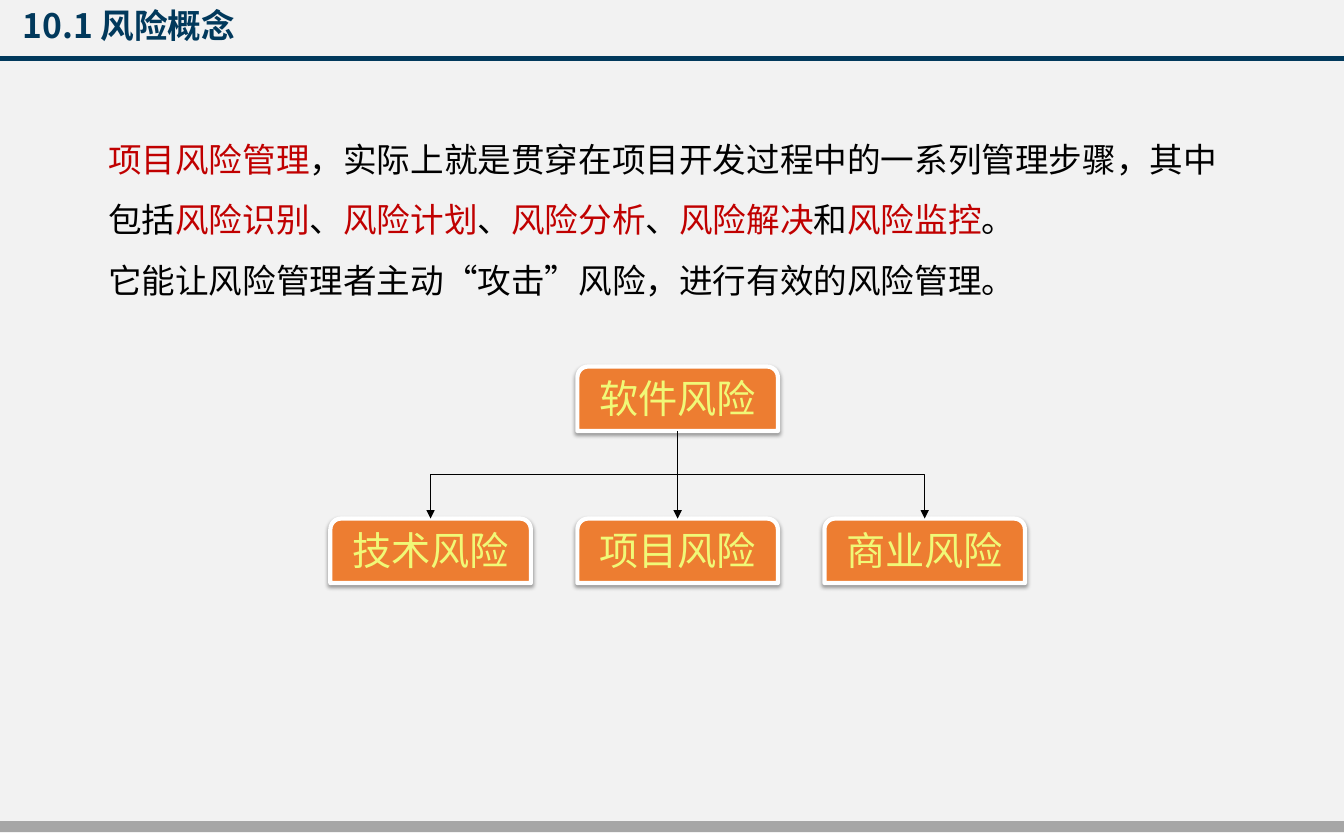
from dataclasses import dataclass

from lxml import etree
from pptx import Presentation
from pptx import util as u
from pptx.dml.color import RGBColor
from pptx.enum import shapes, text
from pptx.oxml.ns import qn


@dataclass(frozen=True)
class Theme:
    paper: str = "F2F2F2"
    navy: str = "01395C"
    grey: str = "A6A6A6"
    orange: str = "ED7D31"
    white: str = "FFFFFF"
    yellow: str = "F0F977"
    red: str = "C00000"
    black: str = "000000"
    heading_font: str = "Noto Sans CJK SC"
    body_font: str = "Arial Narrow"
    text_size: float = 24
    box_size: float = 28


def add_span(para, words, font, size, color, bold=None, asian_font=None):
    span = para.add_run()
    span.text = words
    span.font.name = font
    span.font.size = u.Pt(size)
    span.font.bold = bold
    span.font.color.rgb = RGBColor.from_string(color)
    properties = span.font._element
    properties.set("lang", "zh-CN")
    latin = properties.find(qn("a:latin"))
    latin.addnext(etree.Element(qn("a:ea"), typeface=asian_font or font))


class SlideBuilder:
    """Places elements by percentages of the slide's width and height."""

    def __init__(self, deck, theme):
        self.deck, self.theme = deck, theme
        self.slide = deck.slides.add_slide(deck.slide_layouts[6])
        fill = self.slide.background.fill
        fill.solid()
        fill.fore_color.rgb = RGBColor.from_string(theme.paper)

    def across(self, share):
        return u.Emu(round(self.deck.slide_width * share / 100))

    def down(self, share):
        return u.Emu(round(self.deck.slide_height * share / 100))

    def place(self, left, top, width, height):
        return self.across(left), self.down(top), self.across(width), self.down(height)

    def shape(self, kind, area, fill, line, weight):
        box = self.slide.shapes.add_shape(kind, *self.place(*area))
        box.shadow.inherit = False
        box.fill.solid()
        box.fill.fore_color.rgb = RGBColor.from_string(fill)
        box.line.color.rgb = RGBColor.from_string(line)
        box.line.width = u.Pt(weight)
        return box

    def bar(self, top, height, color):
        self.shape(shapes.MSO_SHAPE.RECTANGLE, (0, top, 100, height), color, color, 1)

    def text_box(self, area, anchor):
        frame = self.slide.shapes.add_textbox(*self.place(*area)).text_frame
        frame.word_wrap = True
        frame.auto_size = text.MSO_AUTO_SIZE.SHAPE_TO_FIT_TEXT
        frame.vertical_anchor = anchor
        return frame

    def title(self, words, area):
        frame = self.text_box(area, text.MSO_ANCHOR.MIDDLE)
        add_span(frame.paragraphs[0], words, self.theme.heading_font,
                 self.theme.text_size, self.theme.navy, bold=True)

    def body(self, passages, area):
        """Write one paragraph per passage; words between bars are highlighted."""
        frame = self.text_box(area, text.MSO_ANCHOR.TOP)
        for index, passage in enumerate(passages):
            para = frame.add_paragraph() if index else frame.paragraphs[0]
            para.line_spacing = 1.5
            # Full-width quotation marks need the East Asian face.
            asian_font = self.theme.heading_font if "“" in passage else None
            for position, words in enumerate(passage.split("|")):
                if words:
                    color = self.theme.red if position % 2 else self.theme.black
                    add_span(para, words, self.theme.body_font, self.theme.text_size,
                             color, asian_font=asian_font)

    def risk_box(self, words, area):
        box = self.shape(shapes.MSO_SHAPE.ROUND_2_SAME_RECTANGLE, area,
                         self.theme.orange, self.theme.white, 3)
        self.drop_shadow(box)
        box.text_frame.vertical_anchor = text.MSO_ANCHOR.TOP
        para = box.text_frame.paragraphs[0]
        para.alignment = text.PP_ALIGN.CENTER
        add_span(para, words, self.theme.body_font, self.theme.box_size, self.theme.yellow)
        return box

    def drop_shadow(self, box):
        effects = box._element.spPr.find(qn("a:effectLst"))
        shadow = etree.SubElement(effects, qn("a:outerShdw"), blurRad=str(u.Pt(3.1)),
                                  dist=str(u.Pt(1.6)), dir="5400000", rotWithShape="0")
        color = etree.SubElement(shadow, qn("a:srgbClr"), val=self.theme.black)
        etree.SubElement(color, qn("a:alpha"), val="38000")

    def arrow(self, kind, start, end):
        connector = self.slide.shapes.add_connector(kind, *start, *end)
        connector.line.color.rgb = RGBColor.from_string(self.theme.black)
        connector.line.width = u.Pt(0.75)
        etree.SubElement(connector.line._get_or_add_ln(), qn("a:tailEnd"), type="triangle")
        etree.SubElement(connector._element.spPr, qn("a:effectLst"))
        return connector

    def branch(self, parent, child):
        """Join two boxes: straight down, or sideways from halfway and then down."""
        start = (parent.left + parent.width // 2, parent.top + parent.height)
        end = (child.left + child.width // 2, child.top)
        if abs(start[0] - end[0]) < u.Pt(1):
            connector = self.arrow(shapes.MSO_CONNECTOR.STRAIGHT, start, end)
            connector.begin_connect(parent, 2)
            connector.end_connect(child, 0)
        else:
            junction = (start[0], (start[1] + end[1]) // 2)
            connector = self.arrow(shapes.MSO_CONNECTOR.ELBOW, junction, end)
            connector._element.spPr.find(qn("a:prstGeom")).set("prst", "bentConnector2")


def main():
    deck = Presentation()
    deck.slide_width, deck.slide_height = u.Pt(960), u.Mm(210)
    theme = Theme()
    page = SlideBuilder(deck, theme)

    page.bar(98.65, 1.2, theme.grey)
    page.bar(6.77, 0.48, theme.navy)
    page.title("10.1 风险概念", (0.95, 0, 30.08, 6.05))
    page.body([
        "|项目风险管理|，实际上就是贯穿在项目开发过程中的一系列管理步骤，其中包括"
        "|风险识别|、|风险计划|、|风险分析|、|风险解决|和|风险监控|。",
        "它能让风险管理者主动“攻击”风险，进行有效的风险管理。",
    ], (7.3, 13.66, 84.83, 22.25))

    box_width, box_height = 14.92, 7.74
    first_column, column_step = 24.58, 18.38
    root_row, child_row = 44, 62.25
    root = page.risk_box("软件风险", (first_column + column_step, root_row,
                                  box_width, box_height))
    children = [
        page.risk_box(words, (first_column + column * column_step, child_row,
                              box_width, box_height))
        for column, words in enumerate(["技术风险", "项目风险", "商业风险"])
    ]
    for child in children:
        page.branch(root, child)

    deck.save("out.pptx")


if __name__ == "__main__":
    main()
